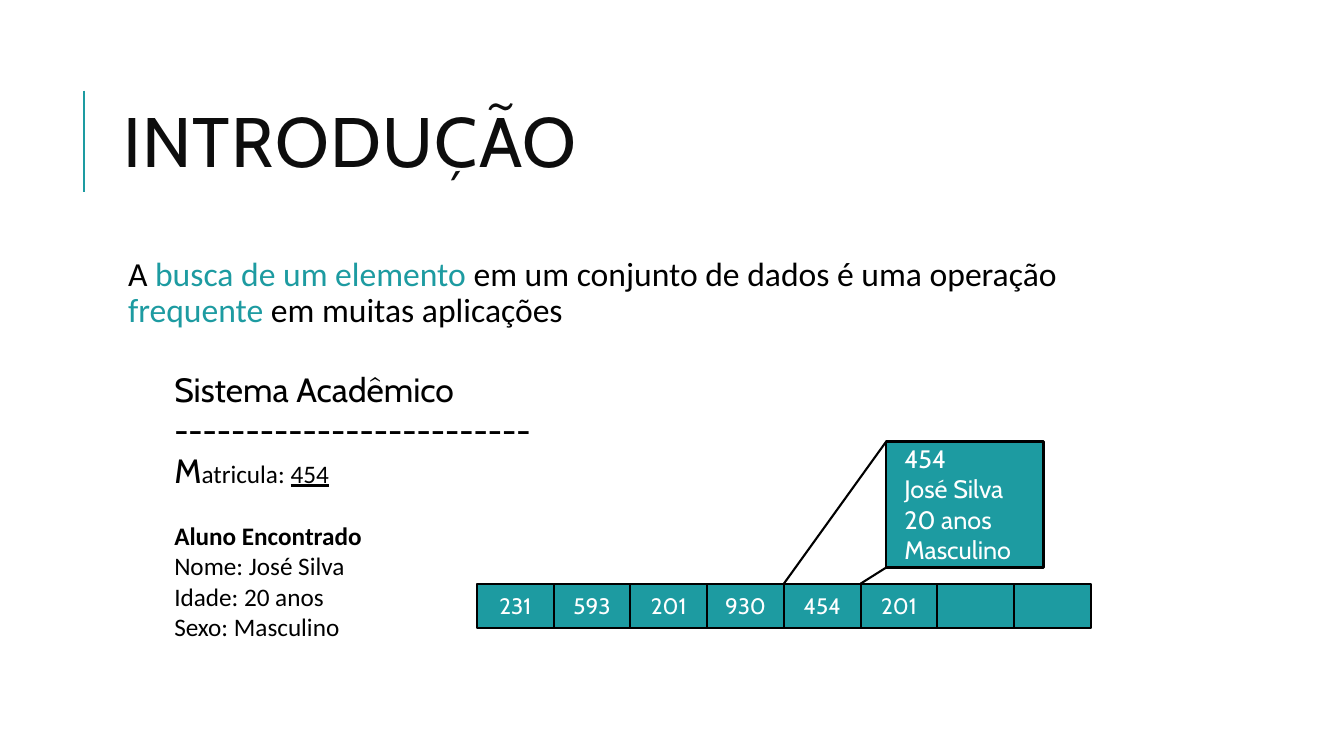
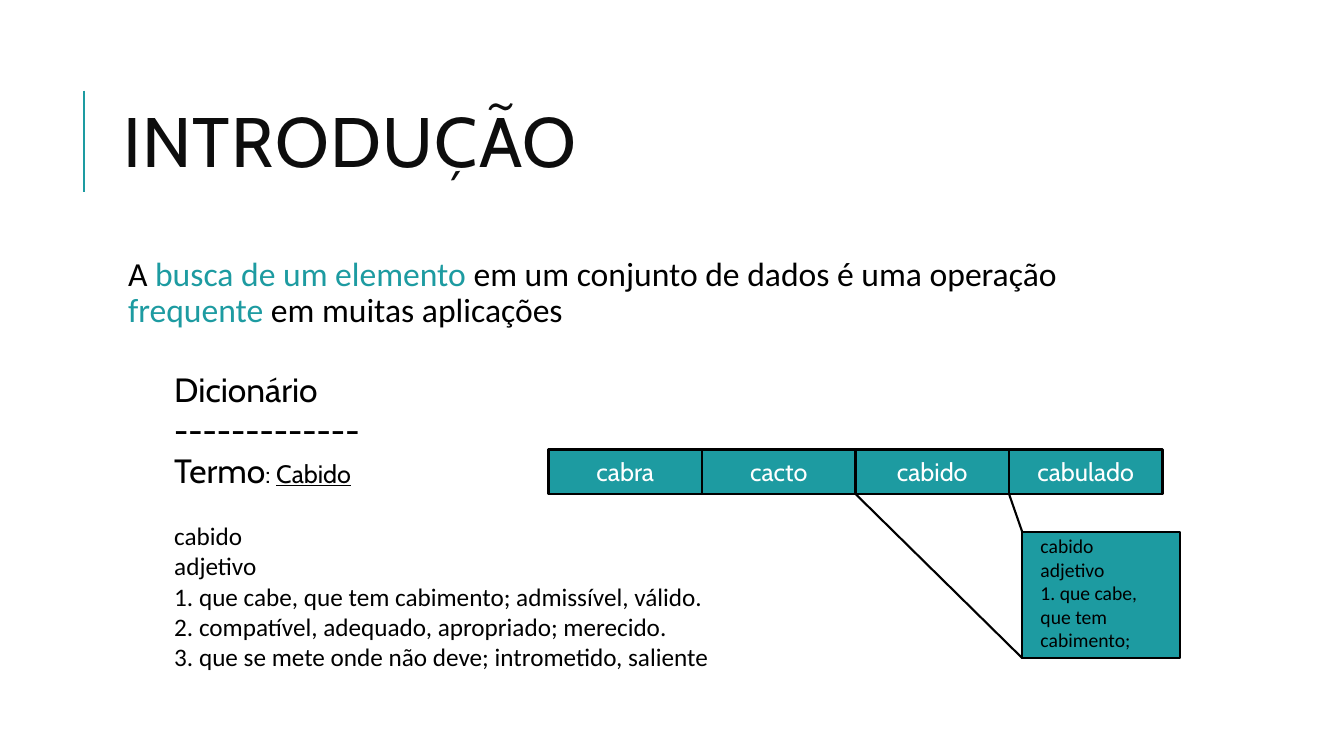
from pptx import Presentation
from pptx.dml.color import RGBColor
from pptx.enum.shapes import MSO_CONNECTOR, MSO_SHAPE
from pptx.enum.text import MSO_ANCHOR, MSO_AUTO_SIZE, PP_ALIGN
from pptx.oxml.ns import qn
from pptx.util import Inches, Pt
from lxml.etree import SubElement

TEAL, BLACK, INK, WHITE = "1D9BA1", "000000", "0D0D0D", "FFFFFF"
HEAD, BODY = "Cabin", "Calibri"


def paint(text):
    return RGBColor.from_string(text)


def style(run, size, name=BODY, color=BLACK, bold=False, under=False):
    font = run.font
    font.size, font.name = Pt(size), name
    font.color.rgb = paint(color)
    font.bold, font.underline = bold, under


class Deck:
    def __init__(self):
        self.file = Presentation()
        self.file.slide_width = Inches(13.33)
        self.file.slide_height = Inches(7.5)
        self.slide = None

    def start(self, title, runs):
        self.slide = self.file.slides.add_slide(self.file.slide_layouts[1])
        self.line((0.83, 0.9), (0.83, 1.9), TEAL)
        self.title(title)
        self.lead(runs)

    def place(self, shape, left, top, width, height):
        shape.left, shape.top = Inches(left), Inches(top)
        shape.width, shape.height = Inches(width), Inches(height)
        frame = shape.text_frame
        frame.word_wrap = True
        frame.auto_size = MSO_AUTO_SIZE.NONE
        return frame

    def title(self, text):
        frame = self.place(self.slide.shapes.title, 1.12, 0.64, 10.63, 1.64)
        frame.vertical_anchor = MSO_ANCHOR.MIDDLE
        frame.text = text
        para = frame.paragraphs[0]
        para.alignment, para.line_spacing = PP_ALIGN.LEFT, 0.8
        run = para.runs[0]
        style(run, 50, HEAD, INK)
        run.font._element.set("spc", "100")

    def lead(self, runs):
        frame = self.place(self.slide.placeholders[1], 1.12, 2.5, 10.63, 4.4)
        frame.vertical_anchor = MSO_ANCHOR.TOP
        frame.margin_left = frame.margin_right = Inches(0.05)
        para = frame.paragraphs[0]
        props = para._p.get_or_add_pPr()
        props.set("marL", str(Inches(0.1)))
        props.set("indent", "0")
        SubElement(props, qn("a:buNone"))
        para.line_spacing, para.space_before = 0.9, Pt(0)
        self.mix(para, runs)

    def mix(self, para, runs):
        for text, look in runs:
            run = para.add_run()
            run.text = text
            style(run, **look)

    def notes(self, width, height, paras):
        box = self.slide.shapes.add_textbox(0, 0, 0, 0)
        frame = self.place(box, 1.63, 3.61, width, height)
        for spot, (gap, runs) in enumerate(paras):
            para = frame.add_paragraph() if spot else frame.paragraphs[0]
            if gap:
                para.space_before = Pt(gap)
            self.mix(para, runs)

    def line(self, start, end, color=BLACK):
        ends = [Inches(n) for n in (*start, *end)]
        line = self.slide.shapes.add_connector(MSO_CONNECTOR.STRAIGHT, *ends)
        line.line.color.rgb, line.line.width = paint(color), Pt(1.5)
        SubElement(line._element.spPr, qn("a:effectLst"))

    def box(self, left, top, width, height, text, align, look):
        shape = self.slide.shapes.add_shape(MSO_SHAPE.RECTANGLE, 0, 0, 0, 0)
        shape.shadow.inherit = False
        shape.fill.solid()
        shape.fill.fore_color.rgb = paint(TEAL)
        shape.line.color.rgb, shape.line.width = paint(BLACK), Pt(1.5)
        frame = self.place(shape, left, top, width, height)
        frame.vertical_anchor = MSO_ANCHOR.MIDDLE
        frame.text = text
        for para in frame.paragraphs:
            para.alignment = align
            for run in para.runs:
                style(run, **look)
        return frame

    def row(self, left, top, words, size):
        width = 6.09 / len(words)
        look = dict(size=size, name=HEAD, color=WHITE)
        for spot, word in enumerate(words):
            self.box(left + spot * width, top, width, 0.44, word,
                     PP_ALIGN.CENTER, look)
        return [left + spot * width for spot in range(len(words) + 1)]

    def card(self, left, top, text, look, high, low):
        self.line((left, top), high)
        self.line((left, top + 1.25), low)
        frame = self.box(left, top, 1.56, 1.25, text, PP_ALIGN.LEFT, look)
        frame.vertical_anchor = MSO_ANCHOR.TOP
        frame.margin_left = Inches(0.18)
        frame.margin_top, frame.margin_bottom = Inches(0.02), 0


def main():
    deck = Deck()
    big = dict(size=24, name=HEAD)
    small = dict(size=18)
    plain = dict(size=24)
    key = dict(size=24, color=TEAL)
    head = "INTRODUÇÃO"
    lead = [("A ", plain), ("busca de um elemento ", key),
            ("em um conjunto de dados é uma operação ", plain),
            ("frequente", key), (" em muitas aplicações", plain)]

    deck.start(head, lead)
    deck.notes(4.61, 3.13, [
        (0, [("Sistema Acadêmico", big)]),
        (0, [("-" * 25, big)]),
        (0, [("M", big), ("atricula: ", small),
             ("454", dict(size=18, under=True))]),
        (22, [("Aluno Encontrado", dict(size=18, bold=True))]),
        (0, [("Nome: José Silva", small)]),
        (0, [("Idade: 20 anos", small)]),
        (0, [("Sexo: Masculino", small)])])
    top = 5.79
    codes = ["231", "593", "201", "930", "454", "201", "", ""]
    edges = deck.row(4.73, top, codes, 16)
    deck.card(8.79, 4.38, "454\nJosé Silva\n20 anos\nMasculino",
              dict(size=18, name=HEAD, color=WHITE),
              (edges[4], top), (edges[5], top))

    deck.start(head, lead)
    deck.notes(7.87, 3.43, [
        (0, [("Dicionário", big)]),
        (0, [("-" * 13, big)]),
        (0, [("Termo", big), (": ", dict(size=18, name=HEAD)),
             ("Cabido", dict(size=18, name=HEAD, under=True))]),
        (22, [("cabido", small)]),
        (0, [("adjetivo", small)]),
        (0, [("1. que cabe, que tem cabimento; admissível, válido.", small)]),
        (0, [("2. compatível, adequado, apropriado; merecido.", small)]),
        (0, [("3. que se mete onde não deve; intrometido, saliente", small)])])
    top = 4.46
    edges = deck.row(5.44, top, ["cabra", "cacto", "cabido", "cabulado"], 18)
    base = top + 0.44
    deck.card(10.14, 5.28, "cabido\nadjetivo\n1. que cabe, que tem cabimento;",
              dict(size=14), (edges[3], base), (edges[2], base))

    deck.file.save("out.pptx")


if __name__ == "__main__":
    main()
